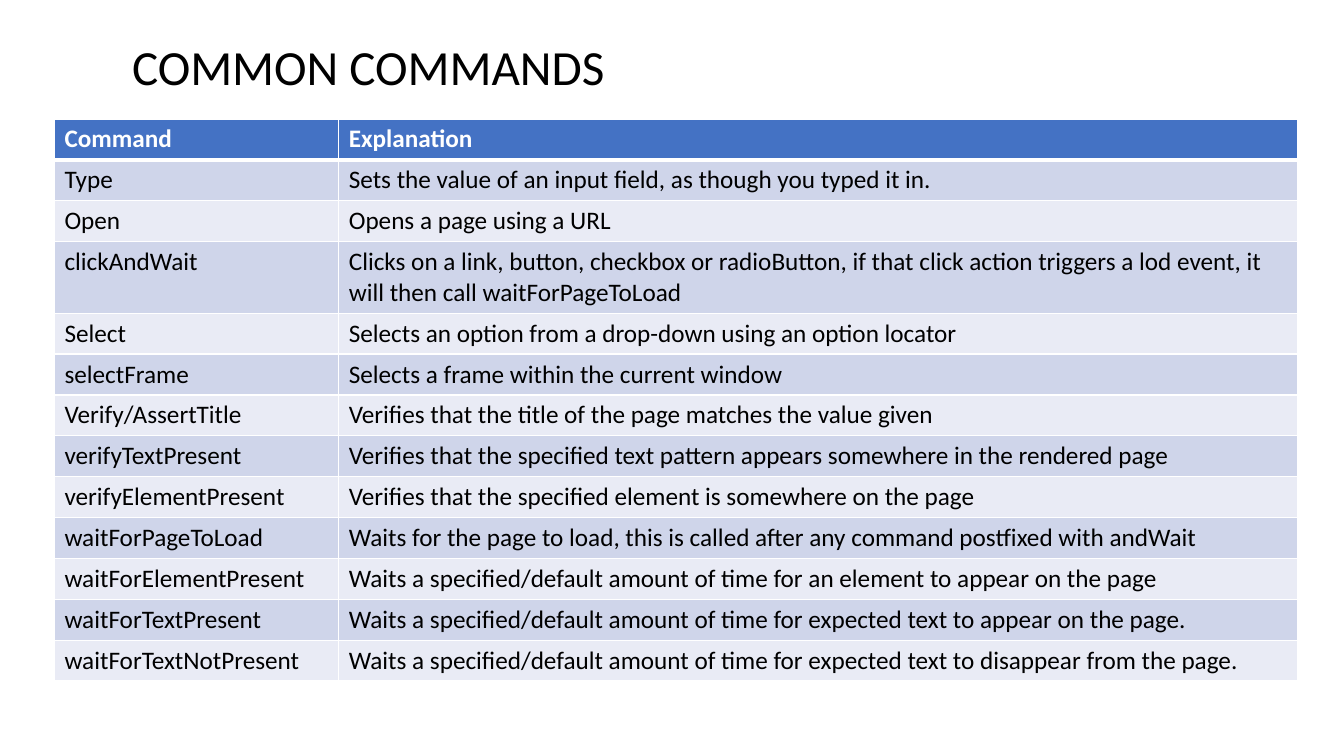
"""Build the slide that lists common test commands in a table."""
import pptx
import pptx.dml.color
import pptx.enum.text
import pptx.oxml
import pptx.oxml.ns
import pptx.util
from pptx.util import Inches

COLORS = {
    "header": "4472C4",
    "odd": "CFD5EA",
    "even": "E9EBF5",
    "white": "FFFFFF",
    "black": "000000",
}
COMMANDS = [
    ("Command", "Explanation"),
    ("Type", "Sets the value of an input field, as though you typed it in."),
    ("Open", "Opens a page using a URL"),
    ("clickAndWait", "Clicks on a link, button, checkbox or radioButton, if that click "
     "action triggers a lod event, it will then call waitForPageToLoad"),
    ("Select", "Selects an option from a drop-down using an option locator"),
    ("selectFrame", "Selects a frame within the current window"),
    ("Verify/AssertTitle", "Verifies that the title of the page matches the value given"),
    ("verifyTextPresent", "Verifies that the specified text pattern appears somewhere "
     "in the rendered page"),
    ("verifyElementPresent", "Verifies that the specified element is somewhere on the page"),
    ("waitForPageToLoad", "Waits for the page to load, this is called after any command "
     "postfixed with andWait"),
    ("waitForElementPresent", "Waits a specified/default amount of time for an element "
     "to appear on the page"),
    ("waitForTextPresent", "Waits a specified/default amount of time for expected text "
     "to appear on the page."),
    ("waitForTextNotPresent", "Waits a specified/default amount of time for expected text "
     "to disappear from the page."),
]
COLUMN_WIDTHS = (2.82, 9.51)
ROW_HEIGHT = 0.4
WRAPPED_ROW = 3
WRAPPED_ROW_HEIGHT = 0.71


def style_font(font, size, color, bold=False):
    font.name = "Calibri"
    font.size = pptx.util.Pt(size)
    font.bold = bold
    font.color.rgb = pptx.dml.color.RGBColor.from_string(COLORS[color])


def add_border(cell, side, points):
    properties = cell._tc.get_or_add_tcPr()
    properties.append(pptx.oxml.parse_xml(
        f'<a:ln{side} {pptx.oxml.ns.nsdecls("a")} w="{pptx.util.Pt(points)}">'
        f'<a:solidFill><a:srgbClr val="{COLORS["white"]}"/></a:solidFill></a:ln{side}>'))


deck = pptx.Presentation()
deck.slide_width, deck.slide_height = Inches(13.33), Inches(7.5)
page = deck.slides.add_slide(deck.slide_layouts[5])

title = page.shapes.title
title.left, title.top = Inches(1.21), Inches(0.34)
title.width, title.height = Inches(9.98), Inches(0.69)
title.text_frame.text = "COMMON COMMANDS"
title.text_frame.auto_size = pptx.enum.text.MSO_AUTO_SIZE.NONE
title.text_frame.vertical_anchor = pptx.enum.text.MSO_ANCHOR.MIDDLE
heading = title.text_frame.paragraphs[0]
heading.alignment = pptx.enum.text.PP_ALIGN.LEFT
heading.line_spacing = 0.9
style_font(heading.font, 35.1, "black")

table = page.shapes.add_table(
    len(COMMANDS), len(COLUMN_WIDTHS), Inches(0.54), Inches(1.18),
    Inches(sum(COLUMN_WIDTHS)), Inches(5.5)).table
for column, width in zip(table.columns, COLUMN_WIDTHS):
    column.width = Inches(width)

for row_index, texts in enumerate(COMMANDS):
    is_header = row_index == 0
    height = WRAPPED_ROW_HEIGHT if row_index == WRAPPED_ROW else ROW_HEIGHT
    table.rows[row_index].height = Inches(height)
    fill = "header" if is_header else "odd" if row_index % 2 else "even"
    for column_index, text in enumerate(texts):
        cell = table.cell(row_index, column_index)
        cell.text = text
        style_font(cell.text_frame.paragraphs[0].font, 18,
                   "white" if is_header else "black", is_header)
        add_border(cell, "L", 1)
        add_border(cell, "R", 1)
        add_border(cell, "T", 3 if row_index == 1 else 1)
        add_border(cell, "B", 3 if is_header else 1)
        cell.fill.solid()
        cell.fill.fore_color.rgb = pptx.dml.color.RGBColor.from_string(COLORS[fill])

deck.save("out.pptx")
